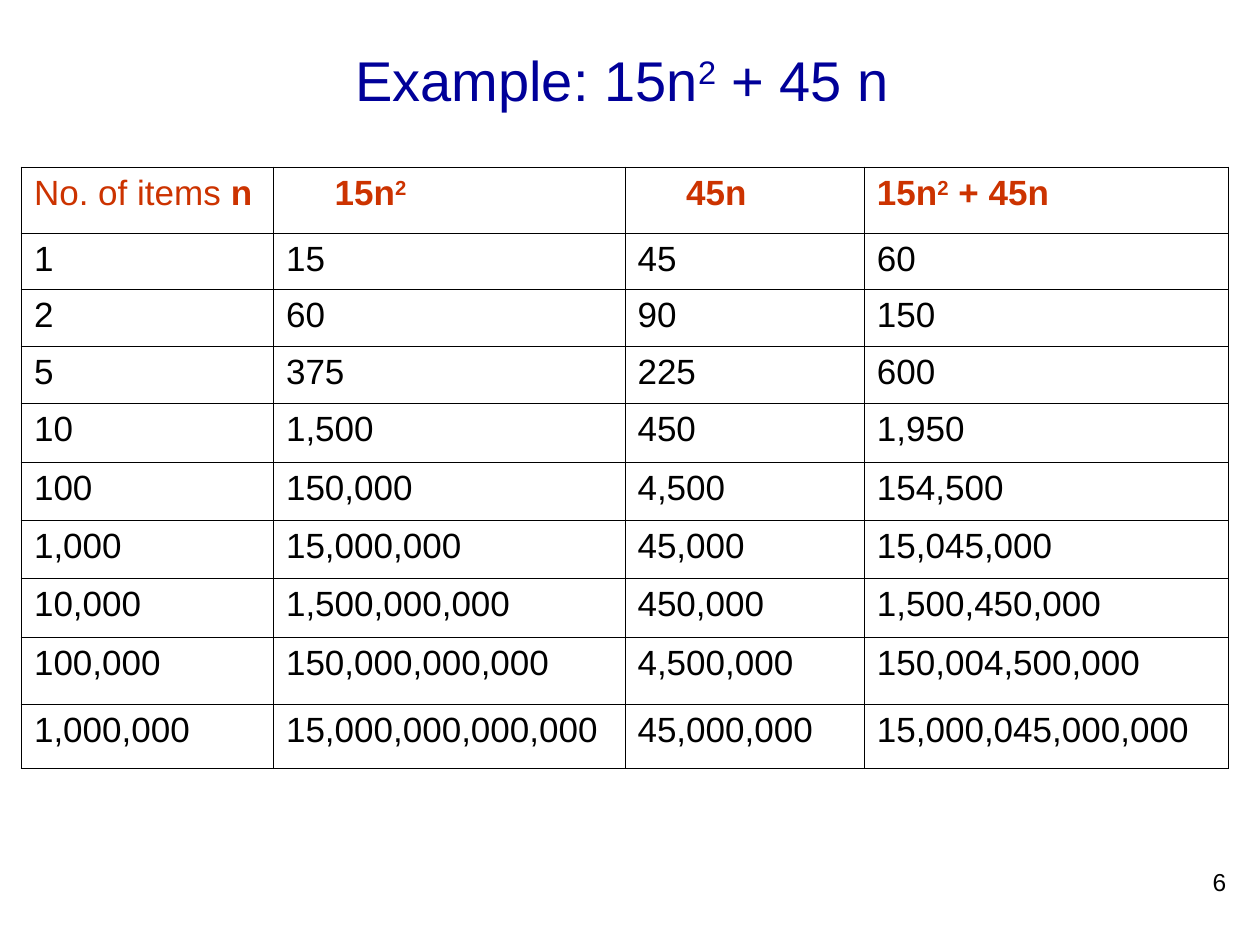
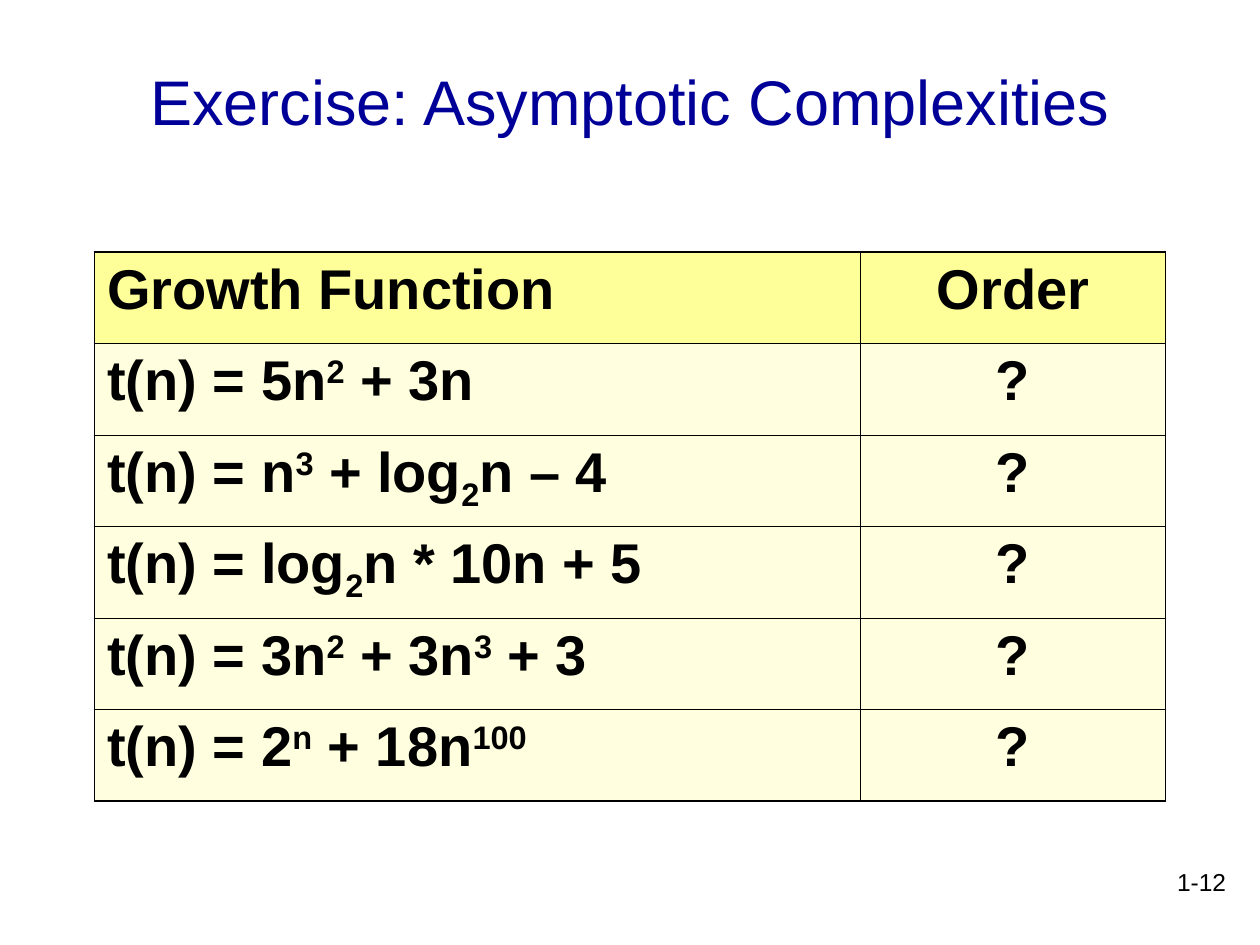
from lxml import etree
from pptx import Presentation
from pptx.dml.color import RGBColor
from pptx.enum.text import MSO_ANCHOR, PP_ALIGN
from pptx.oxml.ns import qn
from pptx.util import Pt

LEFT, CENTER, RIGHT = PP_ALIGN.LEFT, PP_ALIGN.CENTER, PP_ALIGN.RIGHT
TOP, MIDDLE = MSO_ANCHOR.TOP, MSO_ANCHOR.MIDDLE
FONT = "Arial"
COLORS = {
    "title": "000099",
    "text": "000000",
    "heading": "CC3300",
    "header_fill": "FFFF99",
    "body_fill": "FFFFDF",
    "border": "000000",
}
INSET_X, INSET_Y = 7.2, 3.6
OUTER_LINE, INNER_LINE = 1.08, 0.45
BOLD_MARK = "*"
BASELINES = {"^": "30000", "_": "-25000"}

ITEM_COUNTS = (1, 2, 5, 10, 100, 1_000, 10_000, 100_000, 1_000_000)
GROWTH_FUNCTIONS = (
    "t(n) = 5n|^2| + 3n",
    "t(n) = n|^3| + log|_2|n – 4",
    "t(n) = log|_2|n * 10n + 5",
    "t(n) = 3n|^2| + 3n|^3| + 3",
    "t(n) = 2|^n| + 18n|^100",
)


def add_spans(para, markup, size, color, bold=False):
    for part in markup.split("|"):
        mark = part[0] if part[0] == BOLD_MARK or part[0] in BASELINES else ""
        span = para.add_run()
        span.text = part[len(mark):]
        span.font.name = FONT
        span.font.size = Pt(size)
        span.font.bold = bold or mark == BOLD_MARK
        span.font.color.rgb = RGBColor.from_string(COLORS[color])
        if mark in BASELINES:
            span._r.get_or_add_rPr().set("baseline", BASELINES[mark])


def add_text(page, bounds, markup, size, color, align, anchor):
    box = page.shapes.add_textbox(*map(Pt, bounds))
    frame = box.text_frame
    frame.word_wrap = True
    frame.vertical_anchor = anchor
    frame.margin_left = frame.margin_right = Pt(INSET_X)
    frame.margin_top = frame.margin_bottom = Pt(INSET_Y)
    para = frame.paragraphs[0]
    para.alignment = align
    add_spans(para, markup, size, color)


def add_title(page, markup, height, size):
    add_text(page, (54, 12.24, 612, height), markup, size, "title", CENTER, MIDDLE)


def add_page_number(page, number):
    add_text(page, (558, 491.76, 149.76, 36), number, 14, "text", RIGHT, TOP)


def add_grid(page, left, top, widths, heights):
    frame = page.shapes.add_table(
        len(heights), len(widths), Pt(left), Pt(top), Pt(sum(widths)), Pt(sum(heights)))
    grid = frame.table
    grid.first_row = grid.horz_banding = False
    for column, width in zip(grid.columns, widths):
        column.width = Pt(width)
    for row, height in zip(grid.rows, heights):
        row.height = Pt(height)
    return grid


def add_border(cell, side, width):
    line = etree.SubElement(cell._tc.get_or_add_tcPr(), qn(f"a:ln{side}"), w=str(Pt(width)))
    fill = etree.SubElement(line, qn("a:solidFill"))
    etree.SubElement(fill, qn("a:srgbClr"), val=COLORS["border"])


def fill_cell(grid, row, column, markup, size, color="text", bold=False,
              align=LEFT, space_before=5, indent=0, fill=None):
    cell = grid.cell(row, column)
    cell.margin_left = cell.margin_right = Pt(INSET_X)
    cell.margin_top = cell.margin_bottom = Pt(INSET_Y)
    outer_sides = {
        "L": column == 0,
        "R": column == len(grid.columns) - 1,
        "T": row == 0,
        "B": row == len(grid.rows) - 1,
    }
    for side, is_outer in outer_sides.items():
        add_border(cell, side, OUTER_LINE if is_outer else INNER_LINE)
    if fill:
        cell.fill.solid()
        cell.fill.fore_color.rgb = RGBColor.from_string(COLORS[fill])
    else:
        cell.fill.background()
    para = cell.text_frame.paragraphs[0]
    para.alignment = align
    para.space_before = Pt(space_before)
    if indent:
        properties = para._p.get_or_add_pPr()
        properties.set("marL", str(Pt(indent)))
        properties.set("indent", "0")
    add_spans(para, markup, size, color, bold)


def add_values_table(page):
    heights = (37.44, 32.4, 32.4, 32.4, 33.84, 33.12, 33.12, 33.84, 38.16, 36.72)
    grid = add_grid(page, 12.24, 95.76, (144, 200.88, 136.8, 208.08), heights)
    headings = (
        ("No. of items |*n", False, 0),
        ("15n|^2", True, 27.8),
        ("45n", True, 27.8),
        ("15n|^2| + 45n", True, 0),
    )
    for column, (markup, bold, indent) in enumerate(headings):
        fill_cell(grid, 0, column, markup, 20, "heading", bold, indent=indent)
    for row, n in enumerate(ITEM_COUNTS, 1):
        square, linear = 15 * n * n, 45 * n
        for column, value in enumerate((n, square, linear, square + linear)):
            fill_cell(grid, row, column, f"{value:,}", 20)


def add_growth_table(page):
    rows = [("Growth Function", "Order")] + [(name, "?") for name in GROWTH_FUNCTIONS]
    grid = add_grid(page, 54, 144, (437.76, 174.24), [52.32] * len(rows))
    for row, markups in enumerate(rows):
        for column, markup in enumerate(markups):
            fill_cell(grid, row, column, markup, 32, bold=True,
                      align=CENTER if column else LEFT, space_before=8,
                      fill="body_fill" if row else "header_fill")


def main():
    deck = Presentation()
    deck.slide_width, deck.slide_height = Pt(720), Pt(540)
    blank = deck.slide_layouts[6]

    example = deck.slides.add_slide(blank)
    add_values_table(example)
    add_title(example, "Example: 15n|^2| + 45 n ", 66.24, 32)
    add_page_number(example, "6")

    exercise = deck.slides.add_slide(blank)
    add_page_number(exercise, "1-12")
    add_title(exercise, "Exercise: Asymptotic Complexities", 90, 36)
    add_growth_table(exercise)

    deck.save("out.pptx")


if __name__ == "__main__":
    main()
